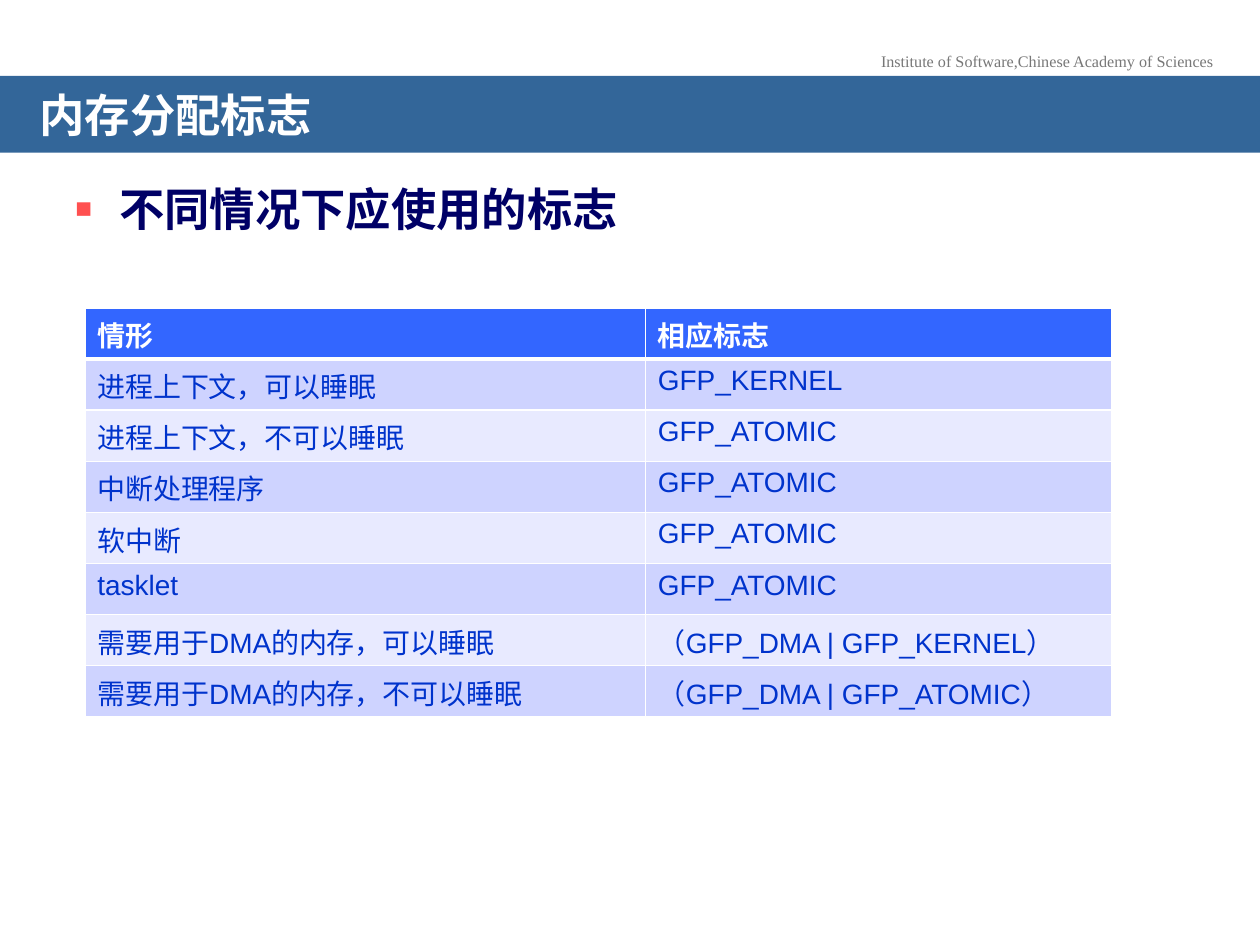
from lxml.etree import SubElement
from pptx import Presentation
from pptx.dml.color import RGBColor
from pptx.enum.shapes import MSO_SHAPE as Shape
from pptx.enum.text import MSO_ANCHOR as Anchor, PP_ALIGN as Align
from pptx.oxml.ns import qn
from pptx.util import Cm, Pt

INSTITUTE = "Institute of Software,Chinese Academy of Sciences"
TITLE = "内存分配标志"
HEADING = "不同情况下应使用的标志"
ROWS = [
    ("情形", "相应标志"),
    ("进程上下文，可以睡眠", "GFP_KERNEL"),
    ("进程上下文，不可以睡眠", "GFP_ATOMIC"),
    ("中断处理程序", "GFP_ATOMIC"),
    ("软中断", "GFP_ATOMIC"),
    ("tasklet", "GFP_ATOMIC"),
    ("需要用于DMA的内存，可以睡眠", "（GFP_DMA | GFP_KERNEL）"),
    ("需要用于DMA的内存，不可以睡眠", "（GFP_DMA | GFP_ATOMIC）"),
]
COLUMN_WIDTHS = [11.3, 9.4]
ROW_HEIGHT = 1.03
COLORS = {
    "white": "FFFFFF", "grey": "777777", "banner": "336699",
    "heading": "000066", "bullet": "FF5050", "header": "3366FF",
    "cell_text": "0033CC", "odd": "CED3FF", "even": "E8EAFF",
}
CJK, SERIF, SANS = "Noto Sans CJK SC", "Times New Roman", "Arial"


def color(name):
    return RGBColor.from_string(COLORS[name])


def add_text(paragraph, text, font_name, size, color_name, bold=False):
    run = paragraph.add_run()
    run.text = text
    font = run.font
    font.name, font.size, font.bold = font_name, Pt(size), bold
    font.color.rgb = color(color_name)
    SubElement(run._r.get_or_add_rPr(), qn("a:ea"), typeface=CJK)


def add_bullet(paragraph, indent):
    properties = paragraph._p.get_or_add_pPr()
    properties.set("marL", str(indent))
    properties.set("indent", str(-indent))
    bullet_color = SubElement(properties, qn("a:buClr"))
    SubElement(bullet_color, qn("a:srgbClr"), val=COLORS["bullet"])
    SubElement(properties, qn("a:buSzPct"), val="120000")
    SubElement(properties, qn("a:buFont"), typeface=SERIF)
    SubElement(properties, qn("a:buChar"), char="▪")


def add_borders(cell, bottom_width):
    properties = cell._tc.get_or_add_tcPr()
    widths = {"a:lnL": 1, "a:lnR": 1, "a:lnT": 1, "a:lnB": bottom_width}
    for tag, width in widths.items():
        line = SubElement(properties, qn(tag), w=str(Pt(width)))
        fill = SubElement(line, qn("a:solidFill"))
        SubElement(fill, qn("a:srgbClr"), val=COLORS["white"])


presentation = Presentation()
presentation.slide_width, presentation.slide_height = Cm(25.4), Cm(19.05)
slide = presentation.slides.add_slide(presentation.slide_layouts[6])

# Institute line above the banner
institute = slide.shapes.add_textbox(Cm(17.45), Cm(0.92), Cm(7.32), Cm(0.66))
institute.text_frame.word_wrap = False
paragraph = institute.text_frame.paragraphs[0]
paragraph.alignment = Align.CENTER
add_text(paragraph, INSTITUTE, SERIF, 9.2, "grey")

# Heading with a square bullet
body = slide.shapes.add_textbox(Cm(1.25), Cm(3.53), Cm(22.89), Cm(13.59))
body.text_frame.word_wrap = True
paragraph = body.text_frame.paragraphs[0]
add_bullet(paragraph, Cm(0.9))
add_text(paragraph, HEADING, SERIF, 25.9, "heading", bold=True)

# Title banner
banner = slide.shapes.add_shape(Shape.RECTANGLE, 0, Cm(1.53), Cm(25.4), Cm(1.55))
banner.shadow.inherit = False
banner.fill.solid()
banner.fill.fore_color.rgb = color("banner")
banner.line.fill.background()
frame = banner.text_frame
frame.word_wrap = True
frame.vertical_anchor = Anchor.MIDDLE
frame.margin_left = frame.margin_right = Cm(0.8)
frame.margin_top, frame.margin_bottom = Cm(0.4), Cm(0.13)
paragraph = frame.paragraphs[0]
paragraph.alignment = Align.LEFT
paragraph.line_spacing = 0.7
add_text(paragraph, TITLE, CJK, 25.9, "white", bold=True)

# Table of situations and flags
table = slide.shapes.add_table(
    len(ROWS), len(COLUMN_WIDTHS), Cm(1.71), Cm(6.21),
    Cm(sum(COLUMN_WIDTHS)), Cm(ROW_HEIGHT * len(ROWS))).table
table.horz_banding = False
for column, width in zip(table.columns, COLUMN_WIDTHS):
    column.width = Cm(width)
for row_index, texts in enumerate(ROWS):
    table.rows[row_index].height = Cm(ROW_HEIGHT)
    is_header = row_index == 0
    fill_name = "header" if is_header else ("odd" if row_index % 2 else "even")
    for column_index, text in enumerate(texts):
        cell = table.cell(row_index, column_index)
        add_borders(cell, 3 if is_header else 1)
        cell.fill.solid()
        cell.fill.fore_color.rgb = color(fill_name)
        paragraph = cell.text_frame.paragraphs[0]
        paragraph.alignment = Align.LEFT
        if is_header:
            add_text(paragraph, text, SERIF, 16, "white", bold=True)
        else:
            add_text(paragraph, text, SANS, 16, "cell_text")

presentation.save("out.pptx")
